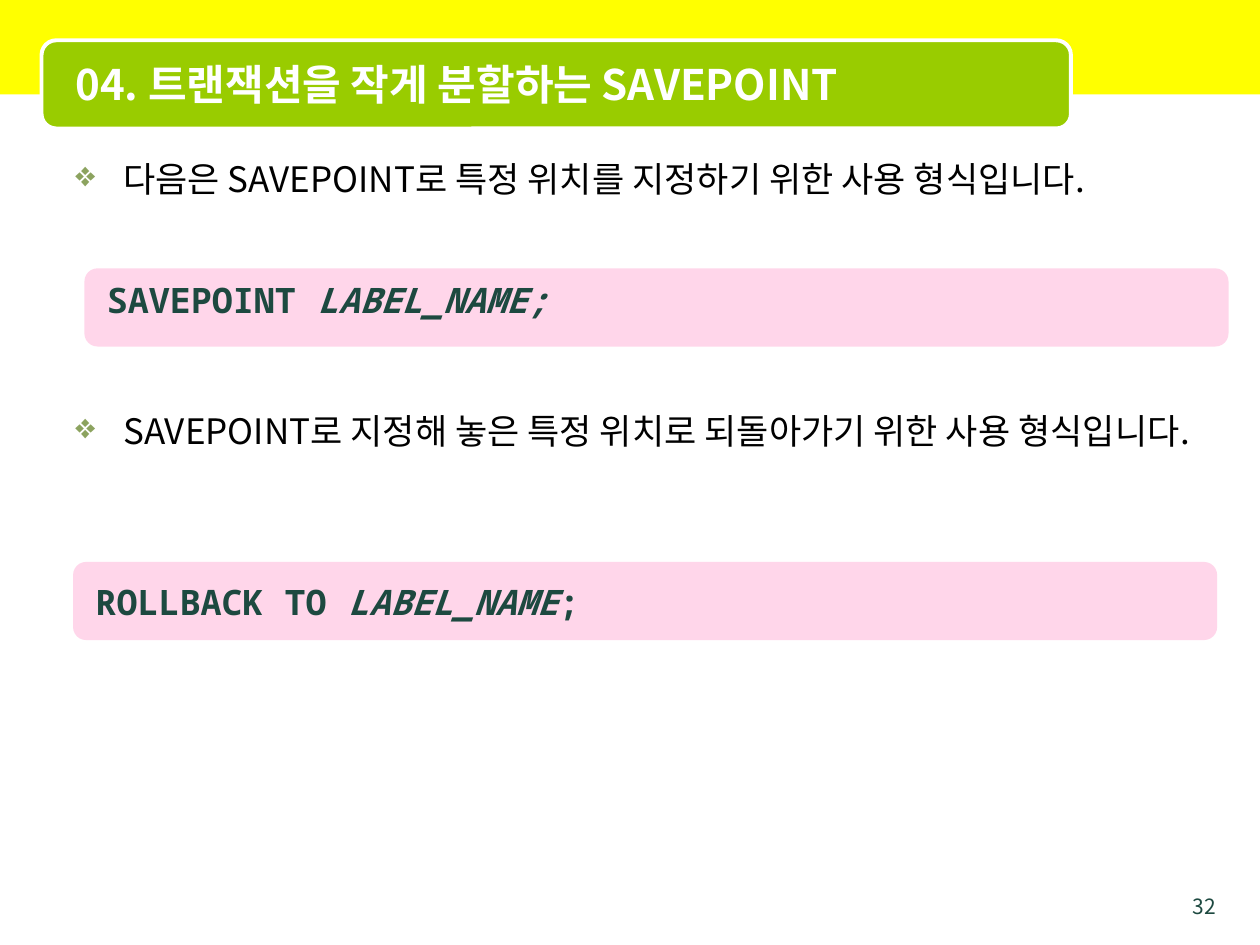
from dataclasses import dataclass

from lxml import etree
from pptx import Presentation
from pptx.dml.color import RGBColor
from pptx.enum.shapes import MSO_SHAPE
from pptx.enum.text import MSO_ANCHOR, PP_ALIGN
from pptx.oxml.ns import qn
from pptx.util import Inches, Pt

RECT, ROUNDED = MSO_SHAPE.RECTANGLE, MSO_SHAPE.ROUNDED_RECTANGLE
TOP, MIDDLE = MSO_ANCHOR.TOP, MSO_ANCHOR.MIDDLE
LEFT, RIGHT = PP_ALIGN.LEFT, PP_ALIGN.RIGHT


@dataclass(frozen=True)
class Theme:
    sans: str = "Noto Sans CJK KR"
    mono: str = "Noto Sans Mono"
    yellow: str = "FFFF00"
    green: str = "99CC00"
    pink: str = "FF99CC"
    white: str = "FFFFFF"
    black: str = "000000"
    dark: str = "1D4940"
    bullet: str = "8CA35F"
    title_size: int = 24
    body_size: int = 20
    number_size: int = 12
    body_line: int = 24


class SlideBuilder:
    def __init__(self, slide, theme):
        self.slide = slide
        self.theme = theme

    def panel(self, kind, box, fill, opacity=None, outline=None):
        shape = self.slide.shapes.add_shape(kind, *map(Inches, box))
        shape.shadow.inherit = False
        shape.fill.solid()
        shape.fill.fore_color.rgb = RGBColor.from_string(fill)
        if opacity:
            color = shape.fill._xPr.find(f".//{qn('a:srgbClr')}")
            etree.SubElement(color, qn("a:alpha"), val=str(opacity * 1000))
        if outline:
            shape.line.color.rgb = RGBColor.from_string(outline)
            shape.line.width = Pt(2.25)
        else:
            shape.line.fill.background()

    def text_frame(self, box, anchor=TOP):
        frame = self.slide.shapes.add_textbox(*map(Inches, box)).text_frame
        frame.word_wrap = True
        frame.vertical_anchor = anchor
        return frame

    def run(self, paragraph, text, font, size, color, **styles):
        run = paragraph.add_run()
        run.text = text
        formats = {"name": font, "size": Pt(size), **styles}
        for name, value in formats.items():
            setattr(run.font, name, value)
        run.font.color.rgb = RGBColor.from_string(color)
        etree.SubElement(run.font._element, qn("a:ea"), typeface=font)

    def label(self, box, text, size, color, align=LEFT, anchor=TOP, **styles):
        paragraph = self.text_frame(box, anchor).paragraphs[0]
        paragraph.alignment = align
        self.run(paragraph, text, self.theme.sans, size, color, **styles)

    def bullets(self, box, items):
        theme = self.theme
        frame = self.text_frame(box)
        frame.margin_top = Inches(0.07)
        for index, (text, space_before) in enumerate(items):
            paragraph = frame.add_paragraph() if index else frame.paragraphs[0]
            formats = {"space_before": Pt(space_before),
                       "line_spacing": Pt(theme.body_line)}
            for name, value in formats.items():
                setattr(paragraph, name, value)
            properties = paragraph._p.get_or_add_pPr()
            properties.set("marL", str(Inches(0.38)))
            properties.set("indent", str(-Inches(0.38)))
            color = etree.SubElement(properties, qn("a:buClr"))
            etree.SubElement(color, qn("a:srgbClr"), val=theme.bullet)
            etree.SubElement(properties, qn("a:buChar"), char="❖")
            self.run(paragraph, text, theme.sans, theme.body_size, theme.black)

    def syntax(self, left, top, text_top, parts):
        theme = self.theme
        self.panel(ROUNDED, (left, top, 9.08, 0.62), theme.pink, opacity=40)
        frame = self.text_frame((left + 0.08, text_top, 9, 0.44))
        for text, italic in parts:
            self.run(frame.paragraphs[0], text, theme.mono, theme.body_size,
                     theme.dark, bold=True, italic=italic)


def main():
    presentation = Presentation()
    presentation.slide_width, presentation.slide_height = Inches(10), Inches(7.5)
    theme = Theme()
    slide = presentation.slides.add_slide(presentation.slide_layouts[6])
    builder = SlideBuilder(slide, theme)

    # Header band, title and page number
    builder.panel(RECT, (0, 0, 10, 0.75), theme.yellow)
    builder.panel(ROUNDED, (0.33, 0.32, 8.17, 0.7), theme.green,
                  outline=theme.white)
    builder.label((9.25, 7.04, 0.5, 0.21), "32", theme.number_size,
                  theme.dark, align=RIGHT)
    builder.label((0.5, 0.35, 7.92, 0.62), "04. 트랜잭션을 작게 분할하는 SAVEPOINT",
                  theme.title_size, theme.white, anchor=MIDDLE, bold=True)

    # Explanations, spaced to leave room for the first syntax panel
    builder.bullets((0.5, 1.18, 9, 6.14), [
        ("다음은 SAVEPOINT로 특정 위치를 지정하기 위한 사용 형식입니다.", 0),
        ("SAVEPOINT로 지정해 놓은 특정 위치로 되돌아가기 위한 사용 형식입니다.", 120),
    ])

    # Syntax panels
    builder.syntax(0.67, 2.13, 2.16,
                   [("SAVEPOINT ", False), ("LABEL_NAME;", True)])
    builder.syntax(0.58, 4.46, 4.56,
                   [("ROLLBACK TO ", False), ("LABEL_NAME", True), (";", False)])

    presentation.save("out.pptx")


if __name__ == "__main__":
    main()
